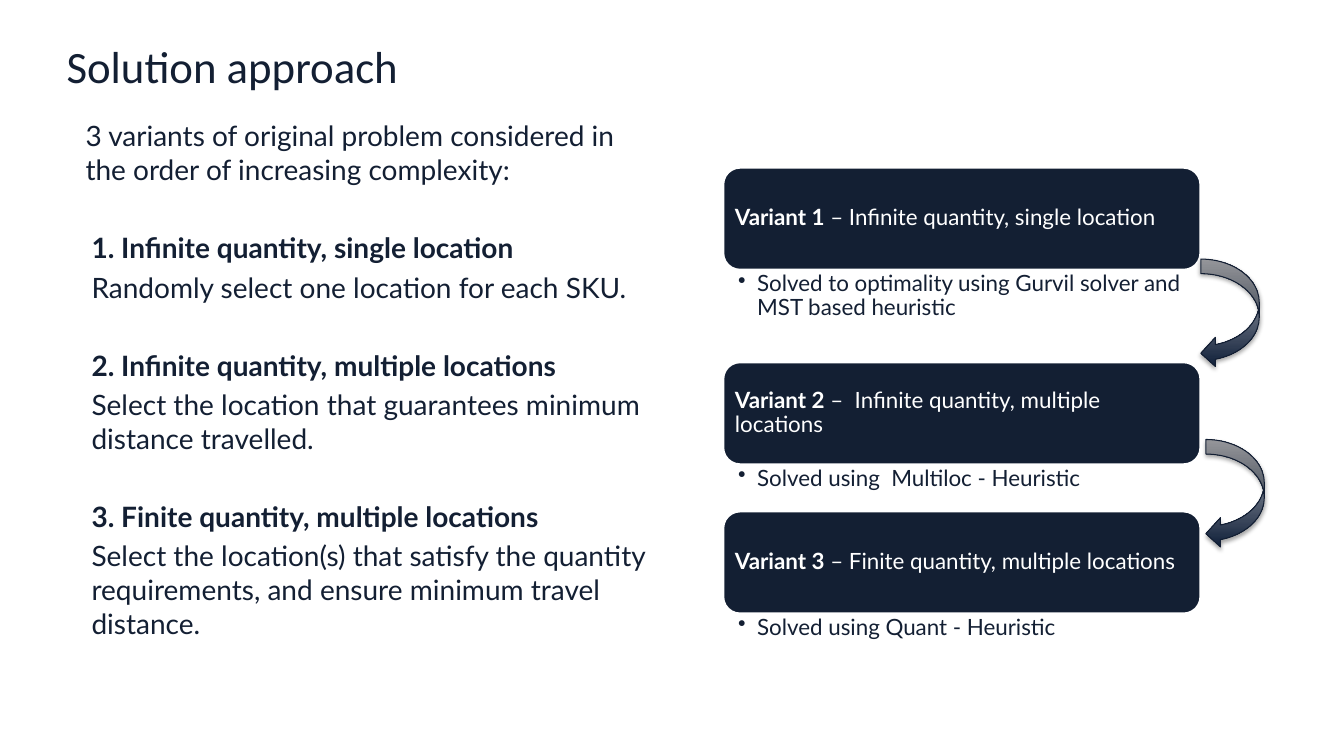
from dataclasses import dataclass

from lxml import etree
from pptx import Presentation
from pptx.dml.color import RGBColor
from pptx.enum.shapes import MSO_SHAPE
from pptx.enum.text import MSO_ANCHOR, PP_ALIGN
from pptx.oxml.ns import qn
from pptx.util import Inches, Pt

ROUND = MSO_SHAPE.ROUNDED_RECTANGLE
CURVE = MSO_SHAPE.CURVED_LEFT_ARROW
TOP, MIDDLE = MSO_ANCHOR.TOP, MSO_ANCHOR.MIDDLE
LEFT = PP_ALIGN.LEFT


@dataclass(frozen=True)
class Theme:
    navy: str = "131F33"
    white: str = "FFFFFF"
    edge: str = "121E33"
    dark: str = "0E1E38"
    pale: str = "BBBCC1"
    black: str = "000000"
    head: str = "Calibri"
    body: str = "Lato"
    title: int = 32
    large: int = 20
    small: int = 16


def tint(code):
    return RGBColor.from_string(code)


def write(para, text, font, size, color, bold=False):
    run = para.add_run()
    run.text = text
    run.font.name = font
    run.font.size = Pt(size)
    run.font.bold = bold
    run.font.color.rgb = tint(color)


class Deck:
    COLS, ROWS = 133.3, 75

    def __init__(self, theme):
        self.theme = theme
        self.show = Presentation()
        self.show.slide_width = Inches(13.33)
        self.show.slide_height = Inches(7.5)
        self.slide = self.show.slides.add_slide(self.show.slide_layouts[5])

    def place(self, col, row, wide, high):
        step = self.show.slide_width / self.COLS
        rise = self.show.slide_height / self.ROWS
        return [round(n) for n in (col * step, row * rise, wide * step, high * rise)]

    def frame(self, shape, pads, anchor=TOP):
        frame = shape.text_frame
        frame.word_wrap = True
        frame.vertical_anchor = anchor
        left, top, right, base = map(Inches, pads)
        frame.margin_left, frame.margin_top = left, top
        frame.margin_right, frame.margin_bottom = right, base
        frame.paragraphs[0].alignment = LEFT
        return frame

    def title(self, text, *cell):
        shape = self.slide.shapes.title
        shape.left, shape.top, shape.width, shape.height = self.place(*cell)
        para = self.frame(shape, (0.1, 0.08, 0.1, 0.05)).paragraphs[0]
        write(para, text, self.theme.head, self.theme.title, self.theme.navy)

    def box(self, cell, pads):
        shape = self.slide.shapes.add_textbox(*self.place(*cell))
        return self.frame(shape, pads)

    def outline(self, intro, items, *cell):
        look = self.theme
        frame = self.box(cell, (0.1, 0.05, 0.1, 0.05))
        write(frame.paragraphs[0], intro, look.body, look.large, look.navy)
        for head, note in items:
            for text, bold, gap in ((head, True, 32), (note, False, 4)):
                para = frame.add_paragraph()
                para.space_before = Pt(gap)
                para._p.get_or_add_pPr().set("marL", str(Inches(0.06)))
                write(para, text, look.body, look.large, look.navy, bold)

    def bar(self, label, text, *cell):
        look = self.theme
        shape = self.slide.shapes.add_shape(ROUND, *self.place(*cell))
        shape.shadow.inherit = False
        shape.fill.solid()
        shape.fill.fore_color.rgb = tint(look.navy)
        shape.line.color.rgb = tint(look.white)
        shape.line.width = Pt(2)
        para = self.frame(shape, (0.07,) * 4, MIDDLE).paragraphs[0]
        para.line_spacing = 0.9
        write(para, label, look.body, look.small, look.white, bold=True)
        write(para, text, look.body, look.small, look.white)

    def bullet(self, text, *cell):
        look = self.theme
        para = self.box(cell, (0.15, 0.02, 0.12, 0.02)).paragraphs[0]
        para.line_spacing = 0.9
        props = para._p.get_or_add_pPr()
        props.set("marL", str(Inches(0.19)))
        props.set("indent", str(-Inches(0.19)))
        etree.SubElement(props, qn("a:buChar"), char="•")
        write(para, text, look.body, look.small, look.navy)

    def arrow(self, *cell):
        look = self.theme
        shape = self.slide.shapes.add_shape(CURVE, *self.place(*cell))
        shape.fill.gradient()
        shape.fill.gradient_angle = 90
        stops = zip(shape.fill.gradient_stops, (look.dark, look.pale), (0, 1))
        for stop, color, spot in stops:
            stop.color.rgb = tint(color)
            stop.position = spot
        shape.line.color.rgb = tint(look.edge)
        shape.line.width = Pt(0.75)
        shape.shadow.inherit = False
        glow = shape._element.spPr.find(qn("a:effectLst"))
        cast = etree.SubElement(
            glow, qn("a:outerShdw"), blurRad=str(Pt(3.1)), dist=str(Pt(1.8)),
            dir="5400000", rotWithShape="0")
        shade = etree.SubElement(cast, qn("a:srgbClr"), val=look.black)
        etree.SubElement(shade, qn("a:alpha"), val="35000")


def main():
    deck = Deck(Theme())
    deck.title("Solution approach", 5.6, 3, 121.1, 8.3)
    deck.outline(
        "3 variants of original problem considered in the order of increasing complexity:",
        [
            ("1. Infinite quantity, single location",
             "Randomly select one location for each SKU."),
            ("2. Infinite quantity, multiple locations",
             "Select the location that guarantees minimum distance travelled."),
            ("3. Finite quantity, multiple locations",
             "Select the location(s) that satisfy the quantity requirements, "
             "and ensure minimum travel distance."),
        ],
        7.5, 11.3, 58.6, 55.7)

    left, wide, high = 71.7, 47.4, 10.2
    steps = [
        (16.6, " – Infinite quantity, single location",
         "Solved to optimality using Gurvil solver and MST based heuristic"),
        (35.9, " –  Infinite quantity, multiple locations",
         "Solved using  Multiloc - Heuristic"),
        (50.7, " – Finite quantity, multiple locations",
         "Solved using Quant - Heuristic"),
    ]
    for count, (row, text, note) in enumerate(steps, 1):
        deck.bar(f"Variant {count}", text, left, row, wide, high)
        deck.bullet(note, left, row + high, wide, 9.1)

    for col, row in ((119.1, 25.7), (119.6, 43.6)):
        deck.arrow(col, row, 5.8, 10.8)
    deck.show.save("out.pptx")


if __name__ == "__main__":
    main()
